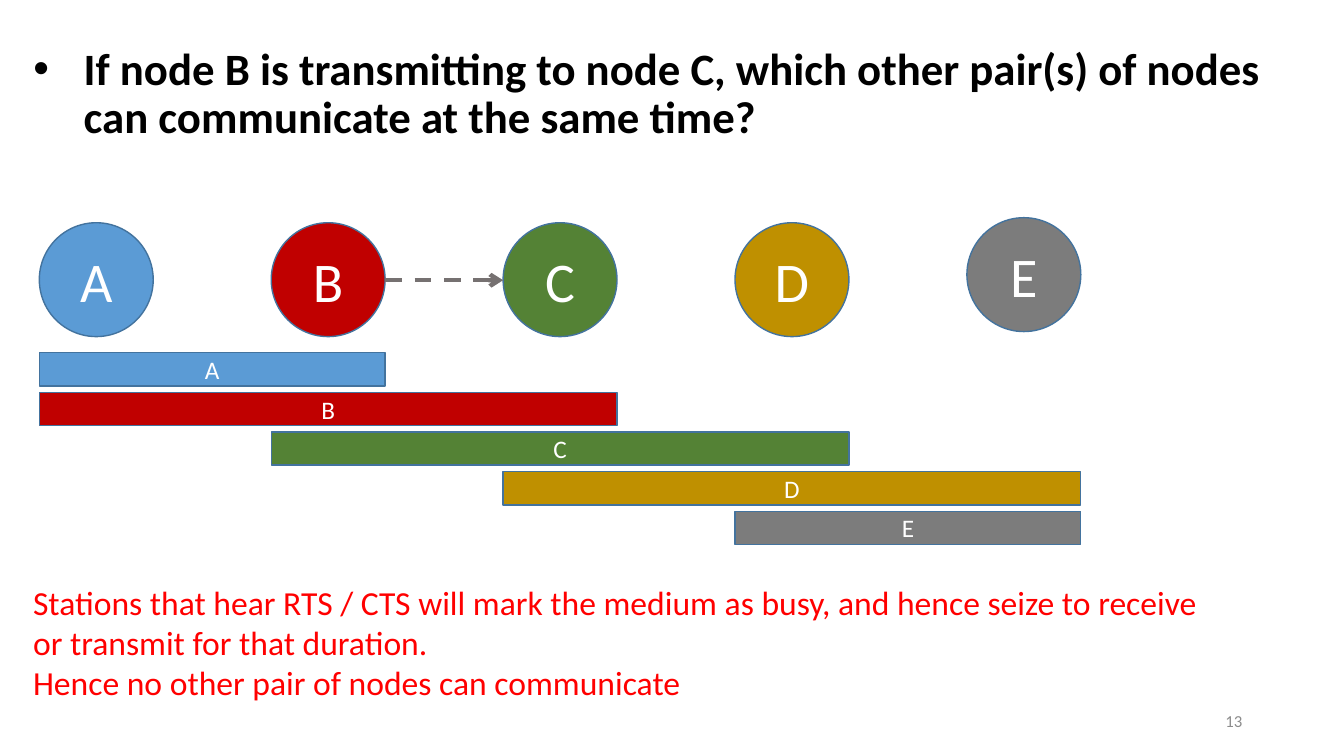
from lxml import etree
from pptx import Presentation
from pptx.dml.color import RGBColor
from pptx.enum.dml import MSO_LINE
from pptx.enum.shapes import MSO_CONNECTOR, MSO_SHAPE
from pptx.enum.text import MSO_ANCHOR, MSO_AUTO_SIZE, PP_ALIGN
from pptx.oxml.ns import qn
from pptx.util import Inches, Pt

OVAL, RECT = MSO_SHAPE.OVAL, MSO_SHAPE.RECTANGLE
LEFT, CENTER, RIGHT = PP_ALIGN.LEFT, PP_ALIGN.CENTER, PP_ALIGN.RIGHT
MIDDLE = MSO_ANCHOR.MIDDLE
NODES = [("A", "5B9BD5"), ("B", "C00000"), ("C", "548235"),
         ("D", "BF9000"), ("E", "7C7C7C")]
NODE_LEFT, NODE_STEP, NODE_SIZE = 0.39, 2.3, 1.13
BAR_TOP, BAR_STEP, BAR_HEIGHT = 3.5, 0.393, 0.33


def add_text(p, text, size, color, align=LEFT, bold=False):
    p.alignment = align
    r = p.add_run()
    r.text = text
    r.font.name = "Calibri"
    r.font.size = Pt(size)
    r.font.bold = bold
    r.font.color.rgb = RGBColor.from_string(color)


def add_labelled(kind, left, top, width, height, label, fill, size):
    sp = s.shapes.add_shape(kind, Inches(left), Inches(top), Inches(width), Inches(height))
    sp.shadow.inherit = False
    sp.fill.solid()
    sp.fill.fore_color.rgb = RGBColor.from_string(fill)
    sp.line.color.rgb = RGBColor.from_string("43739E")
    sp.line.width = Pt(1)
    sp.text_frame.vertical_anchor = MIDDLE
    add_text(sp.text_frame.paragraphs[0], label, size, "FFFFFF", CENTER)


prs = Presentation()
prs.slide_width, prs.slide_height = Inches(13.33), Inches(7.5)
s = prs.slides.add_slide(prs.slide_layouts[5])

# Question
title = s.shapes.title
title.left, title.top = Inches(0.23), Inches(0.11)
title.width, title.height = Inches(13.03), Inches(1.67)
tf = title.text_frame
tf.word_wrap = True
tf.auto_size = MSO_AUTO_SIZE.NONE
tf.vertical_anchor = MIDDLE
p = tf.paragraphs[0]
add_text(p, "If node B is transmitting to node C, which other pair(s) of nodes "
            "can communicate at the same time?", 32, "000000", bold=True)
p.line_spacing = 0.9
pPr = p._p.get_or_add_pPr()
pPr.set("marL", str(Inches(0.5)))
pPr.set("indent", str(Inches(-0.5)))
etree.SubElement(pPr, qn("a:buFont")).set("typeface", "Arial")
etree.SubElement(pPr, qn("a:buChar")).set("char", "•")

# Nodes, each with a bar that reaches its neighbours
node_lefts = [NODE_LEFT + i * NODE_STEP for i in range(len(NODES))]
for i, (name, color) in enumerate(NODES):
    node_top = 2.16 if name == "E" else 2.21
    add_labelled(OVAL, node_lefts[i], node_top, NODE_SIZE, NODE_SIZE, name, color, 40)
    first = node_lefts[max(i - 1, 0)]
    last = node_lefts[min(i + 1, len(NODES) - 1)]
    add_labelled(RECT, first, BAR_TOP + i * BAR_STEP, last + NODE_SIZE - first,
                 BAR_HEIGHT, name, color, 18)

# Transmission from B to C
arrow = s.shapes.add_connector(MSO_CONNECTOR.STRAIGHT, Inches(node_lefts[1] + NODE_SIZE),
                               Inches(2.78), Inches(node_lefts[2]), Inches(2.78))
arrow.line.color.rgb = RGBColor.from_string("767171")
arrow.line.width = Pt(3)
arrow.line.dash_style = MSO_LINE.DASH
etree.SubElement(arrow.line._get_or_add_ln(), qn("a:tailEnd")).set("type", "arrow")
etree.SubElement(arrow._element.spPr, qn("a:effectLst"))

# Answer
tf = s.shapes.add_textbox(Inches(0.23), Inches(5.72), Inches(11.8), Inches(1.31)).text_frame
tf.word_wrap = True
add_text(tf.paragraphs[0], "Stations that hear RTS / CTS will mark the medium as busy, and "
         "hence seize to receive or transmit for that duration.", 24, "FF0000")
add_text(tf.add_paragraph(), "Hence no other pair of nodes can communicate", 24, "FF0000")

# Slide number
tf = s.shapes.add_textbox(Inches(9.42), Inches(6.95), Inches(3), Inches(0.4)).text_frame
tf.word_wrap = True
tf.vertical_anchor = MIDDLE
add_text(tf.paragraphs[0], "13", 12, "8C8C8C", RIGHT)

prs.save("out.pptx")
